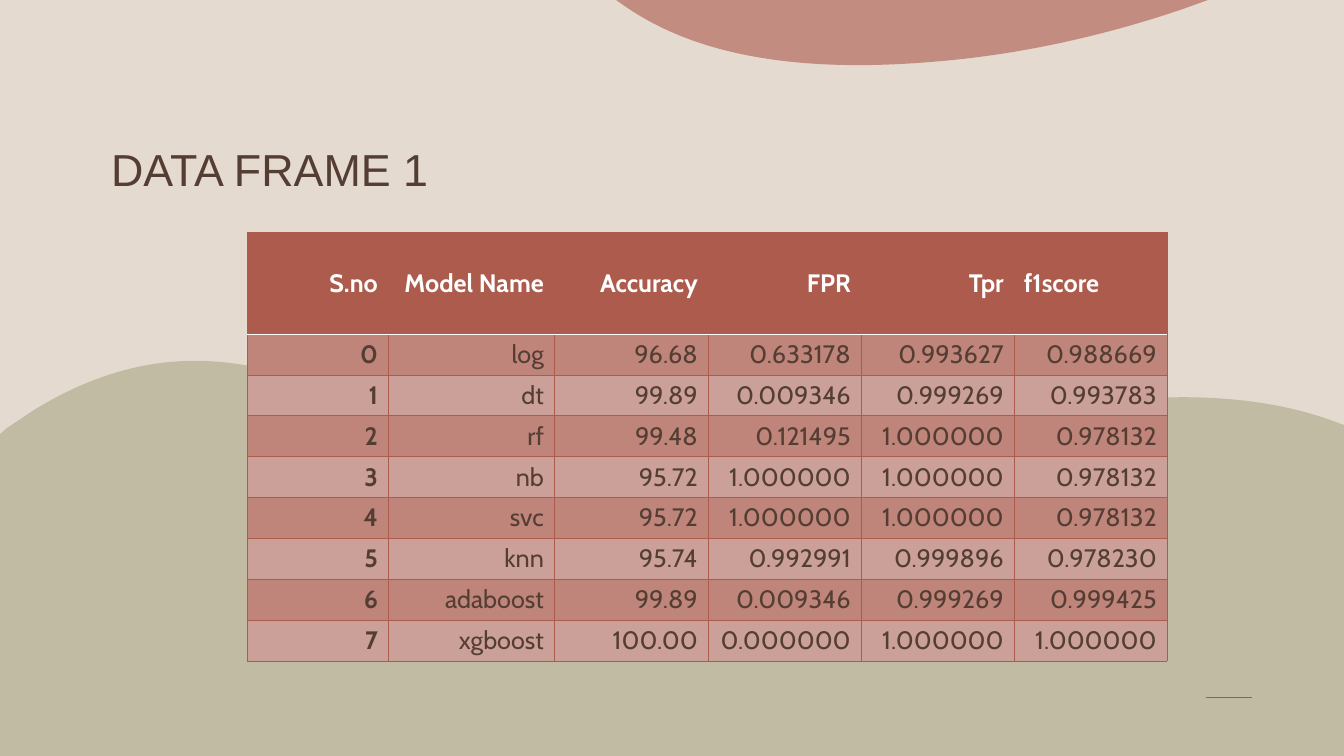
from dataclasses import dataclass

from lxml.etree import SubElement
from pptx import Presentation
from pptx.dml.color import RGBColor
from pptx.enum.shapes import MSO_CONNECTOR
from pptx.enum.text import MSO_ANCHOR, MSO_AUTO_SIZE, PP_ALIGN
from pptx.oxml.ns import qn
from pptx.util import Emu, Pt

EMU_PER_PX = 12192000 / 1344
SLIDE_SIZE = (1344, 756)

SAND, SAGE, CLAY, BROWN, WHITE = "E5DACF", "A09D79", "AC5B4C", "543E34", "FFFFFF"
ROW_FILLS = ("BF847A", "CBA099")

Point = tuple[int, int]


@dataclass(frozen=True)
class Wave:
    """A closed outline: each segment holds one line end or three curve points."""

    start: Point
    segments: tuple[tuple[Point, ...], ...]
    color: str
    opacity: int


@dataclass(frozen=True)
class Column:
    """A table column with its heading, width and heading alignment."""

    heading: str
    width: int
    heading_align: PP_ALIGN = PP_ALIGN.RIGHT


HILLS = Wave(
    (204, 361),
    (
        ((238, 362), (272, 369), (306, 382)),
        ((337, 393), (363, 411), (389, 428)),
        ((447, 466), (509, 494), (582, 504)),
        ((642, 513), (704, 507), (765, 492)),
        ((834, 476), (874, 461), (915, 447)),
        ((956, 432), (1170, 360), (1336, 422)),
        ((1344, 425),),
        ((1344, 756),),
        ((0, 756),),
        ((0, 434),),
        ((7, 428),),
        ((16, 422), (25, 416), (34, 410)),
        ((91, 375), (147, 359), (204, 361)),
    ),
    SAGE,
    50,
)
TOP_WAVE = Wave(
    (616, 0),
    (
        ((1208, 0),),
        ((1186, 8),),
        ((1064, 50), (969, 59), (931, 62)),
        ((762, 76), (676, 41), (626, 7)),
    ),
    CLAY,
    60,
)

COLUMNS = (
    Column("S.no", 141),
    Column("Model Name", 166),
    Column("Accuracy", 154),
    Column("FPR", 153),
    Column("Tpr", 153),
    Column("f1score", 153, PP_ALIGN.LEFT),
)
SCORES = (
    ("log", "96.68", "0.633178", "0.993627", "0.988669"),
    ("dt", "99.89", "0.009346", "0.999269", "0.993783"),
    ("rf", "99.48", "0.121495", "1.000000", "0.978132"),
    ("nb", "95.72", "1.000000", "1.000000", "0.978132"),
    ("svc", "95.72", "1.000000", "1.000000", "0.978132"),
    ("knn", "95.74", "0.992991", "0.999896", "0.978230"),
    ("adaboost", "99.89", "0.009346", "0.999269", "0.999425"),
    ("xgboost", "100.00", "0.000000", "1.000000", "1.000000"),
)
TABLE_LEFT, TABLE_TOP = 247, 232
HEADER_HEIGHT, ROW_HEIGHT = 102, 40


def px(length: int) -> Emu:
    """Convert px to EMU."""
    return Emu(round(length * EMU_PER_PX))


def rgb(color: str) -> RGBColor:
    """Turn a hex string into a colour."""
    return RGBColor.from_string(color)


def write(frame, text: str, *, font: str, size: int, color: str,
          bold: bool = False, align: PP_ALIGN = PP_ALIGN.LEFT,
          spacing: float | None = None) -> None:
    """Put one formatted paragraph into a text frame."""
    paragraph = frame.paragraphs[0]
    paragraph.alignment = align
    paragraph.line_spacing = spacing
    run = paragraph.add_run()
    run.text = text
    run.font.name = font
    run.font.size = Pt(size)
    run.font.bold = bold
    run.font.color.rgb = rgb(color)


def bend_segments(shape, wave: Wave) -> None:
    """Turn the straight segments of an outline into its cubic curves."""
    ends = [wave.start] + [segment[-1] for segment in wave.segments]
    left, top = (min(end[axis] for end in ends) for axis in (0, 1))
    straights = list(shape._element.iter(qn("a:lnTo")))
    for straight, segment in zip(straights, wave.segments):
        if len(segment) == 3:
            curve = straight.makeelement(qn("a:cubicBezTo"))
            for x, y in segment:
                SubElement(curve, qn("a:pt"), x=str(x - left), y=str(y - top))
            straight.getparent().replace(straight, curve)


def draw_wave(slide, wave: Wave) -> None:
    """Draw a translucent background outline."""
    builder = slide.shapes.build_freeform(*wave.start, scale=EMU_PER_PX)
    builder.add_line_segments([segment[-1] for segment in wave.segments], close=True)
    shape = builder.convert_to_shape()
    bend_segments(shape, wave)
    shape.shadow.inherit = False
    shape.fill.solid()
    shape.fill.fore_color.rgb = rgb(wave.color)
    shape.line.fill.background()
    color = shape._element.spPr.find(qn("a:solidFill"))[0]
    SubElement(color, qn("a:alpha"), val=str(wave.opacity * 1000))


def draw_page_rule(slide) -> None:
    """Draw the short rule at the bottom right."""
    rule = slide.shapes.add_connector(
        MSO_CONNECTOR.STRAIGHT, px(1206), px(697), px(1252), px(697))
    rule.line.color.rgb = rgb(BROWN)
    rule.line.width = Pt(0.5)
    SubElement(rule._element.spPr, qn("a:effectLst"))


def set_border(cell, side: str, color: str) -> None:
    """Add one thin border line to a cell."""
    line = SubElement(cell._tc.get_or_add_tcPr(), qn(f"a:ln{side}"), w=str(Pt(0.5)))
    SubElement(SubElement(line, qn("a:solidFill")), qn("a:srgbClr"), val=color)


def format_cell(cell, row: int, fill: str) -> None:
    """Set the borders, fill and anchor of a cell."""
    for side in "LRTB":
        under_header = (row, side) in ((0, "B"), (1, "T"))
        set_border(cell, side, WHITE if under_header else CLAY)
    cell.fill.solid()
    cell.fill.fore_color.rgb = rgb(fill)
    cell.vertical_anchor = MSO_ANCHOR.MIDDLE


def draw_scores(slide) -> None:
    """Draw the table of model scores."""
    records = [(str(number), *scores) for number, scores in enumerate(SCORES)]
    heights = [HEADER_HEIGHT] + [ROW_HEIGHT] * len(records)
    table = slide.shapes.add_table(
        len(heights), len(COLUMNS), px(TABLE_LEFT), px(TABLE_TOP),
        px(sum(column.width for column in COLUMNS)), px(sum(heights))).table
    for row, height in enumerate(heights):
        table.rows[row].height = px(height)
    for index, column in enumerate(COLUMNS):
        table.columns[index].width = px(column.width)
        heading = table.cell(0, index)
        format_cell(heading, 0, CLAY)
        write(heading.text_frame, column.heading, font="Cabin", size=18,
              color=WHITE, bold=True, align=column.heading_align)
        for row, record in enumerate(records, start=1):
            cell = table.cell(row, index)
            format_cell(cell, row, ROW_FILLS[(row - 1) % 2])
            write(cell.text_frame, record[index], font="Cabin", size=18,
                  color=BROWN, bold=index == 0, align=PP_ALIGN.RIGHT)


def main() -> None:
    """Build and save the slide."""
    deck = Presentation()
    deck.slide_width, deck.slide_height = map(px, SLIDE_SIZE)
    slide = deck.slides.add_slide(deck.slide_layouts[5])
    slide.background.fill.solid()
    slide.background.fill.fore_color.rgb = rgb(SAND)
    draw_page_rule(slide)
    for wave in (HILLS, TOP_WAVE):
        draw_wave(slide, wave)
    title = slide.shapes.title
    title.left, title.top, title.width, title.height = map(px, (101, 100, 1142, 101))
    title.text_frame.auto_size = MSO_AUTO_SIZE.NONE
    title.text_frame.vertical_anchor = MSO_ANCHOR.BOTTOM
    write(title.text_frame, "DATA FRAME 1", font="Arial", size=32, color=BROWN, spacing=0.9)
    draw_scores(slide)
    deck.save("out.pptx")


if __name__ == "__main__":
    main()
